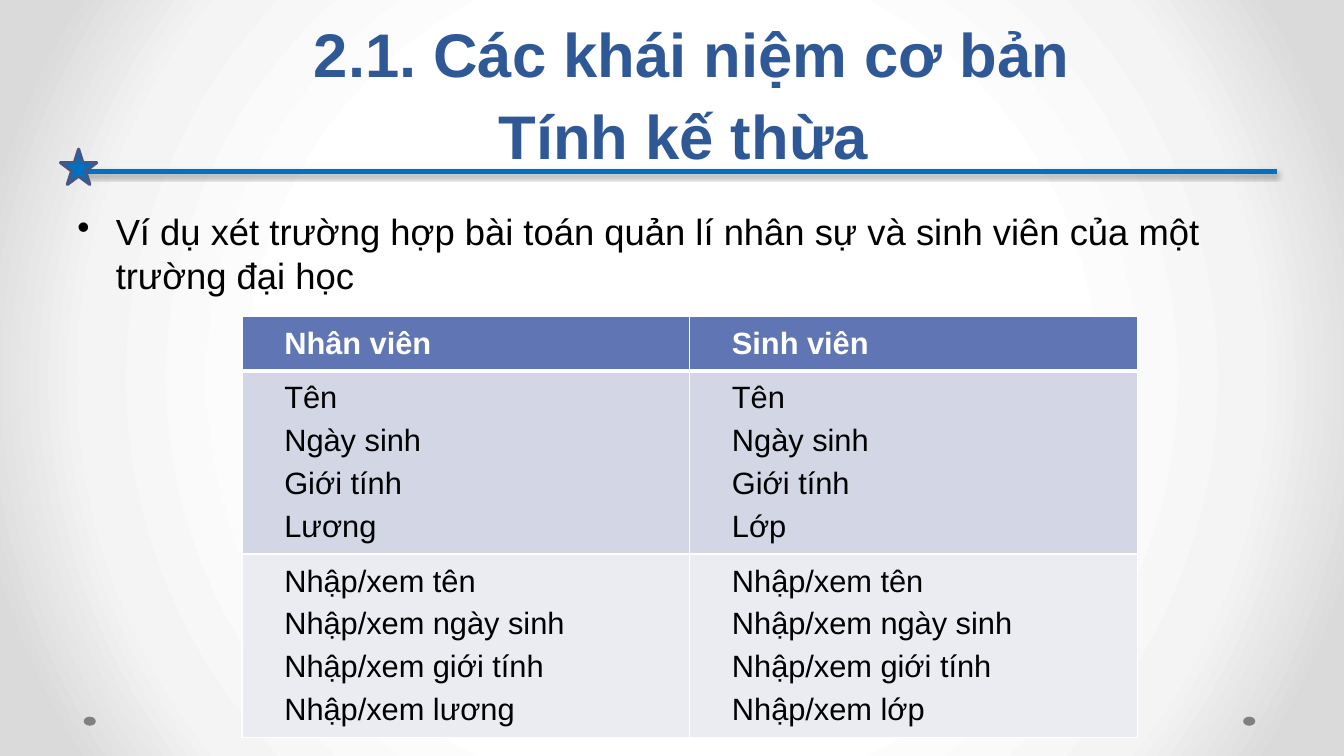
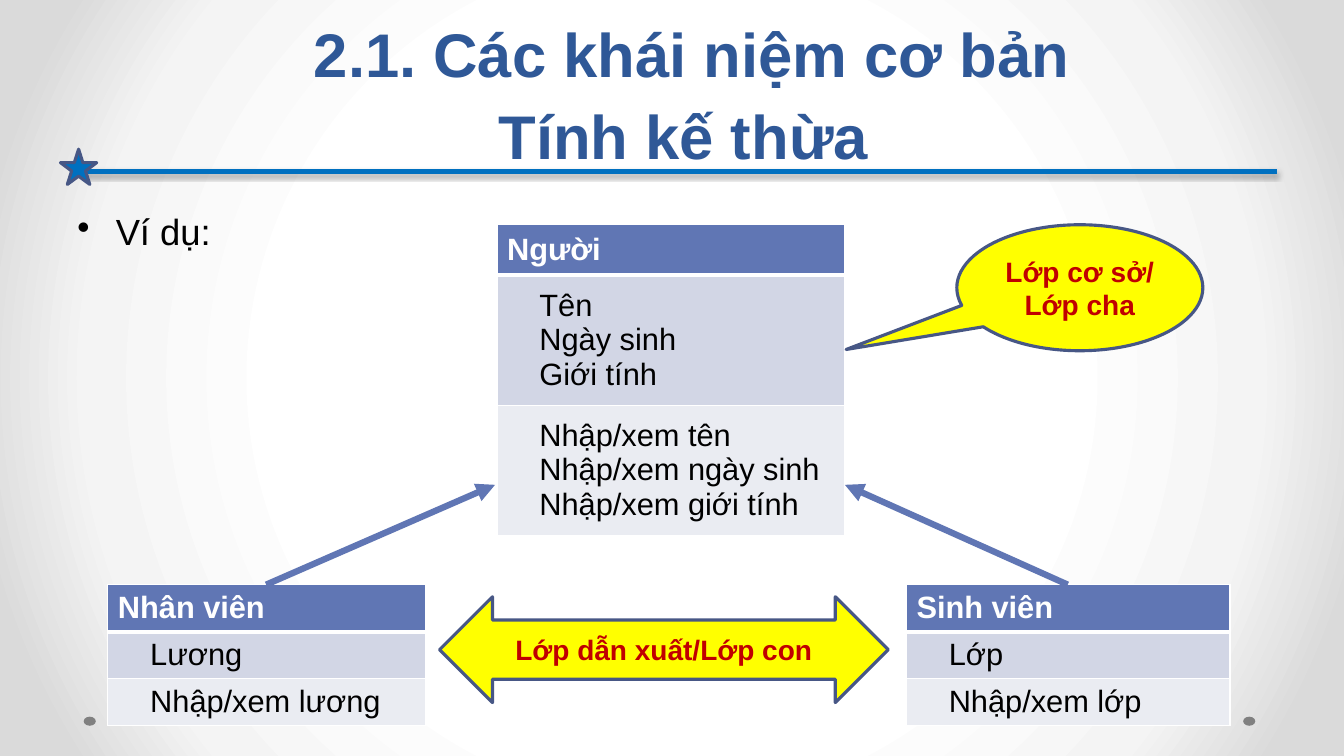
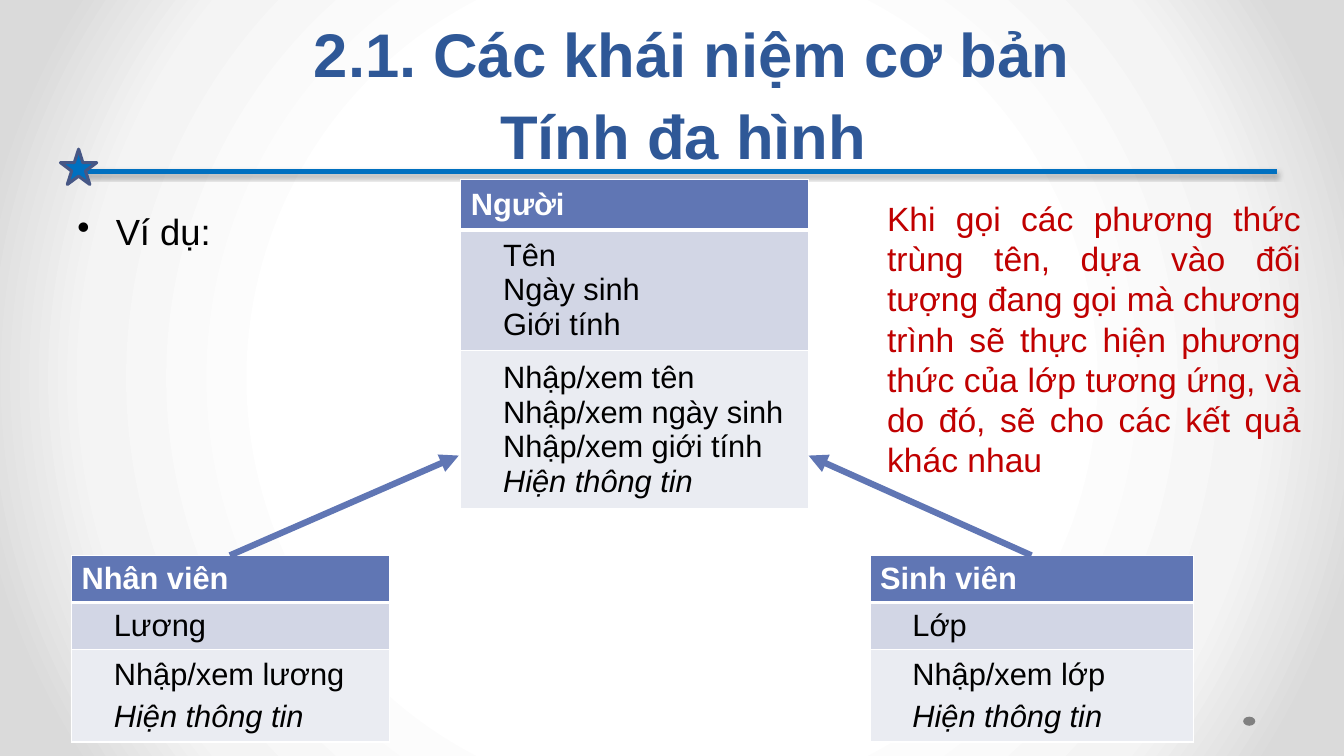
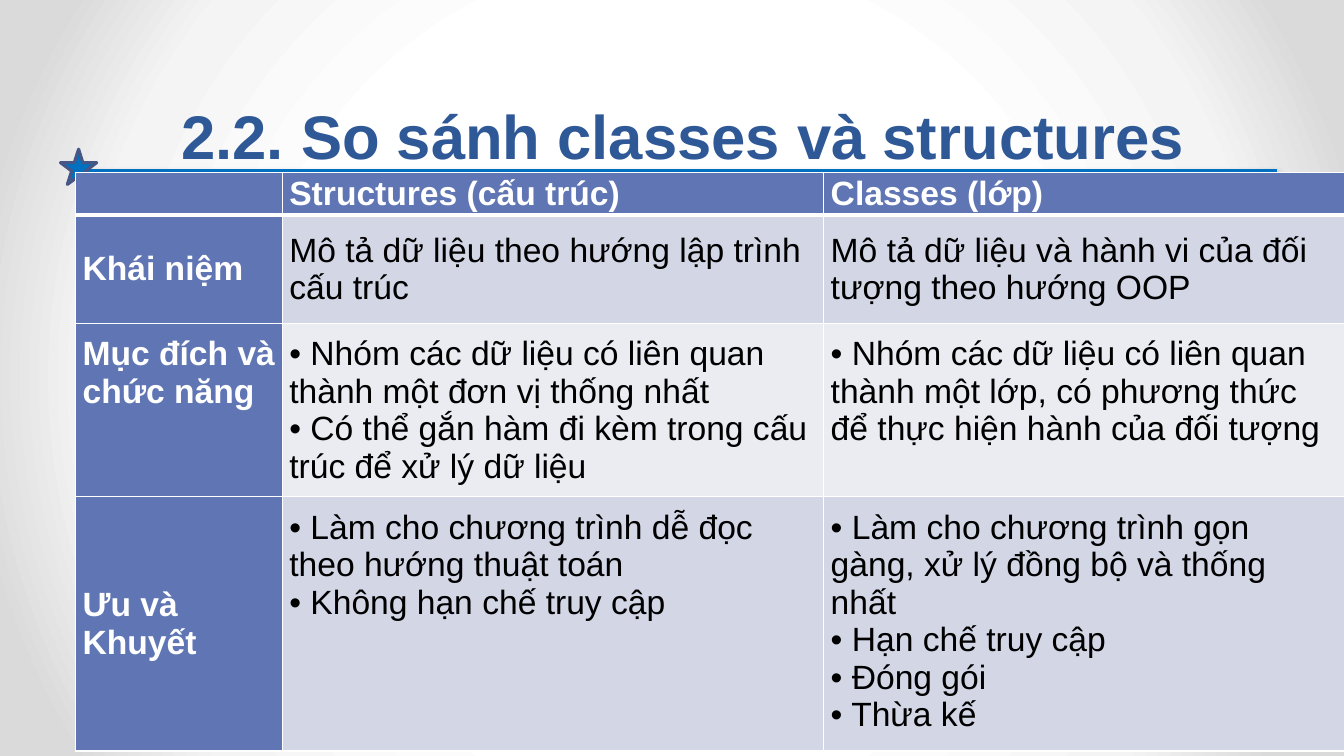
from lxml import etree
from pptx import Presentation
from pptx import util as u
from pptx.dml.color import RGBColor
from pptx.enum import shapes, text
from pptx.oxml import parse_xml
from pptx.oxml.ns import nsdecls, qn

PX = 9144
FONT = "Arial"
COLORS = {
    "title": "2F5897",
    "rule": "0070C0",
    "outline": "475785",
    "header": "6076B4",
    "band_dark": "D2D6E5",
    "band_light": "EAECF2",
    "yellow": "FFFF00",
    "red": "C00000",
    "dot": "808080",
    "black": "000000",
    "white": "FFFFFF",
}
BACKDROP = ((50, "FFFFFF"), (76, "F4F4F4"), (92, "DADADA"))
SHOW_INFO = "Hiện thông tin"


def px(*values):
    return [u.Emu(v * PX) for v in values]


def rgb(name):
    return RGBColor.from_string(COLORS[name])


def write(tf, lines, size, color="black", bold=False, align=text.PP_ALIGN.LEFT,
          before=0, indent=0):
    for i, line in enumerate(lines):
        p = tf.paragraphs[0] if i == 0 else tf.add_paragraph()
        p.text = line
        p.alignment = align
        p.space_before = u.Pt(before)
        p.font.name = FONT
        p.font.size = u.Pt(size)
        p.font.bold = bold
        p.font.italic = line == SHOW_INFO
        p.font.color.rgb = rgb(color)
        if indent:
            p._p.get_or_add_pPr().set("marL", str(indent * PX))


def add_text(s, box, lines, size, **style):
    tf = s.shapes.add_textbox(*px(*box)).text_frame
    tf.word_wrap = True
    write(tf, lines, size, **style)
    return tf


def add_figure(s, kind, box, fill, outline=None, adjust=(), label=None):
    sp = s.shapes.add_shape(kind, *px(*box))
    sp.shadow.inherit = False
    sp.fill.solid()
    sp.fill.fore_color.rgb = rgb(fill)
    if outline:
        sp.line.color.rgb = rgb(outline)
        sp.line.width = u.Pt(2.25)
    else:
        sp.line.fill.background()
    for i, value in enumerate(adjust):
        sp.adjustments[i] = value
    if label:
        sp.text_frame.vertical_anchor = text.MSO_ANCHOR.MIDDLE
        write(sp.text_frame, [label], 20, "red", True, text.PP_ALIGN.CENTER)


def add_line(s, start, end, color, width):
    line = s.shapes.add_connector(shapes.MSO_CONNECTOR.STRAIGHT, *px(*start, *end))
    line.line.color.rgb = rgb(color)
    line.line.width = u.Pt(width)
    effects = etree.SubElement(line._element.spPr, qn("a:effectLst"))
    return line, effects


def add_arrow(s, start, end):
    line, _ = add_line(s, start, end, "header", 4.5)
    etree.SubElement(line.line._get_or_add_ln(), qn("a:tailEnd"), type="triangle")


def add_rule(s):
    _, effects = add_line(s, (84, 170), (1267, 170), "rule", 4)
    effects.append(parse_xml(
        f'<a:outerShdw {nsdecls("a")} blurRad="{u.Pt(3.1)}" dist="{u.Pt(1.8)}" '
        f'dir="5400000"><a:srgbClr val="{COLORS["black"]}">'
        '<a:alpha val="35000"/></a:srgbClr></a:outerShdw>'))


def set_backdrop(prs):
    master = prs.slide_master
    master.background.fill.solid()
    solid = master.element.find(f".//{qn('p:bgPr')}/{qn('a:solidFill')}")
    stops = "".join(f'<a:gs pos="{pos * 1000}"><a:srgbClr val="{color}"/></a:gs>'
                    for pos, color in BACKDROP)
    solid.getparent().replace(solid, parse_xml(
        f'<a:gradFill {nsdecls("a")} rotWithShape="1"><a:gsLst>{stops}</a:gsLst>'
        '<a:path path="circle"><a:fillToRect l="50000" t="50000" r="50000" b="50000"/>'
        '</a:path></a:gradFill>'))


def add_slide(prs, title):
    s = prs.slides.add_slide(prs.slide_layouts[6])
    for x in (1233, 83):
        add_figure(s, shapes.MSO_SHAPE.OVAL, (x, 711, 12, 9), "dot")
    add_rule(s)
    add_figure(s, shapes.MSO_SHAPE.STAR_5_POINT, (60, 148, 36, 35), "rule", "outline")
    tf = add_text(s, (108, 19, 1157, 156), [title], 44, color="title", bold=True,
                  align=text.PP_ALIGN.CENTER)
    tf.vertical_anchor = text.MSO_ANCHOR.BOTTOM
    tf.paragraphs[0].line_spacing = u.Pt(58)
    return s


def add_bullet(s, line):
    tf = add_text(s, (67, 203, 1200, 506), [line], 26, before=12, indent=38)
    pPr = tf.paragraphs[0]._p.get_or_add_pPr()
    pPr.set("indent", str(-38 * PX))
    bullet = parse_xml(f'<a:buChar {nsdecls("a")} char="•"/>')
    pPr.find(qn("a:defRPr")).addprevious(bullet)


def style_cell(cell, fill, header):
    tcPr = cell._tc.get_or_add_tcPr()
    for side in "LRTB":
        width = u.Pt(3 if header and side == "B" else 1)
        tcPr.append(parse_xml(
            f'<a:ln{side} {nsdecls("a")} w="{width}"><a:solidFill>'
            f'<a:srgbClr val="{COLORS["white"]}"/></a:solidFill></a:ln{side}>'))
    cell.fill.solid()
    cell.fill.fore_color.rgb = rgb(fill)
    cell.vertical_anchor = text.MSO_ANCHOR.MIDDLE


def add_grid(s, left, top, widths, heights):
    box = px(left, top, sum(widths), sum(heights))
    table = s.shapes.add_table(len(heights), len(widths), *box).table
    table.first_row = table.horz_banding = False
    for column, width in zip(table.columns, px(*widths)):
        column.width = width
    for row, height in zip(table.rows, px(*heights)):
        row.height = height
    return table


def band(row):
    return "band_dark" if row % 2 else "band_light"


def add_class_table(s, left, top, widths, heights, rows, header_indent=0, before=6):
    table = add_grid(s, left, top, widths, heights)
    for r, row in enumerate(rows):
        for c, lines in enumerate(row):
            cell = table.cell(r, c)
            if r == 0:
                style_cell(cell, "header", True)
                write(cell.text_frame, lines, 22, "white", True, before=6,
                      indent=header_indent)
            else:
                style_cell(cell, band(r), False)
                write(cell.text_frame, lines, 22, before=before, indent=32)


def add_hierarchy(s, left, parent_top, parent_heights, child_top, child_heights, extra):
    parent_left, parent_width = left + 386, 345
    children = (
        (left + 792, 321, parent_left + parent_width, "Sinh viên", "Lớp", "Nhập/xem lớp"),
        (left, 315, parent_left - 2, "Nhân viên", "Lương", "Nhập/xem lương"),
    )
    person = (
        [["Người"]],
        [["Tên", "Ngày sinh", "Giới tính"]],
        [["Nhập/xem tên", "Nhập/xem ngày sinh", "Nhập/xem giới tính", *extra]],
    )
    add_class_table(s, parent_left, parent_top, [parent_width], parent_heights, person,
                    before=0)
    for x, width, tip, name, field, method in children:
        rows = ([[name]], [[field]], [[method, *extra]])
        add_class_table(s, x, child_top, [width], child_heights, rows)
        add_arrow(s, (x + width // 2, child_top), (tip, child_top - 99))


def add_comparison(s, rows):
    table = add_grid(s, 75, 171, (205, 537, 517), (42, 108, 172, 250))
    for r, row in enumerate(rows):
        for c, lines in enumerate(row):
            cell = table.cell(r, c)
            heading = r == 0 or c == 0
            style_cell(cell, "header" if heading else band(r), r == 0)
            cell.margin_left, cell.margin_right, cell.margin_top, cell.margin_bottom = px(
                7, 7, 0, 0)
            if r == 2 or (r == 3 and c > 0):
                cell.vertical_anchor = text.MSO_ANCHOR.TOP
                cell.margin_top = px(12)[0]
            write(cell.text_frame, lines, 24, "white" if heading else "black", heading)


def inheritance_table(prs):
    s = add_slide(prs, "2.1. Các khái niệm cơ bản\vTính kế thừa ")
    add_bullet(s, "Ví dụ xét trường hợp bài toán quản lí nhân sự và sinh viên "
                  "của một trường đại học")
    fields = ["Tên", "Ngày sinh", "Giới tính"]
    methods = ["Nhập/xem tên", "Nhập/xem ngày sinh", "Nhập/xem giới tính"]
    rows = (
        [["Nhân viên"], ["Sinh viên"]],
        [fields + ["Lương"], fields + ["Lớp"]],
        [methods + ["Nhập/xem lương"], methods + ["Nhập/xem lớp"]],
    )
    add_class_table(s, 240, 314, (444, 444), (54, 171, 171), rows, header_indent=32)


def inheritance_diagram(prs):
    s = add_slide(prs, "2.1. Các khái niệm cơ bản\vTính kế thừa ")
    add_bullet(s, "Ví dụ:")
    add_hierarchy(s, 107, 223, (50, 129, 129), 580, (44, 44, 44), [])
    add_figure(s, shapes.MSO_SHAPE.OVAL_CALLOUT, (949, 223, 244, 125), "yellow", "outline",
               (-0.95, 0.49), "Lớp cơ sở/ Lớp cha")
    add_figure(s, shapes.MSO_SHAPE.LEFT_RIGHT_ARROW, (436, 592, 445, 105), "yellow",
               "outline", (0.56, 0.5), "Lớp dẫn xuất/Lớp con")


def polymorphism_diagram(prs):
    s = add_slide(prs, "2.1. Các khái niệm cơ bản\vTính đa hình ")
    add_bullet(s, "Ví dụ:")
    add_hierarchy(s, 71, 178, (50, 118, 146), 551, (44, 44, 86), [SHOW_INFO])
    add_text(s, (870, 191, 430, 293),
             ["Khi gọi các phương thức trùng tên, dựa vào đối tượng đang gọi mà chương "
              "trình sẽ thực hiện phương thức của lớp tương ứng, và do đó, sẽ cho các "
              "kết quả khác nhau"],
             24, color="red", align=text.PP_ALIGN.JUSTIFY, before=6)


def comparison(prs):
    s = add_slide(prs, "2.2. So sánh classes và structures ")
    add_comparison(s, (
        ([], ["Structures (cấu trúc)"], ["Classes (lớp)"]),
        (["Khái niệm"],
         ["Mô tả dữ liệu theo hướng lập trình cấu trúc"],
         ["Mô tả dữ liệu và hành vi của đối tượng theo hướng OOP"]),
        (["Mục đích và", "chức năng"],
         ["• Nhóm các dữ liệu có liên quan thành một đơn vị thống nhất",
          "• Có thể gắn hàm đi kèm trong cấu trúc để xử lý dữ liệu"],
         ["• Nhóm các dữ liệu có liên quan thành một lớp, có phương thức để thực hiện "
          "hành của đối tượng"]),
        (["Ưu và", "Khuyết"],
         ["• Làm cho chương trình dễ đọc theo hướng thuật toán",
          "• Không hạn chế truy cập"],
         ["• Làm cho chương trình gọn gàng, xử lý đồng bộ và thống nhất",
          "• Hạn chế truy cập", "• Đóng gói", "• Thừa kế"]),
    ))


def main():
    prs = Presentation()
    prs.slide_width, prs.slide_height = px(1333, 750)
    set_backdrop(prs)
    inheritance_table(prs)
    inheritance_diagram(prs)
    polymorphism_diagram(prs)
    comparison(prs)
    prs.save("out.pptx")


if __name__ == "__main__":
    main()
